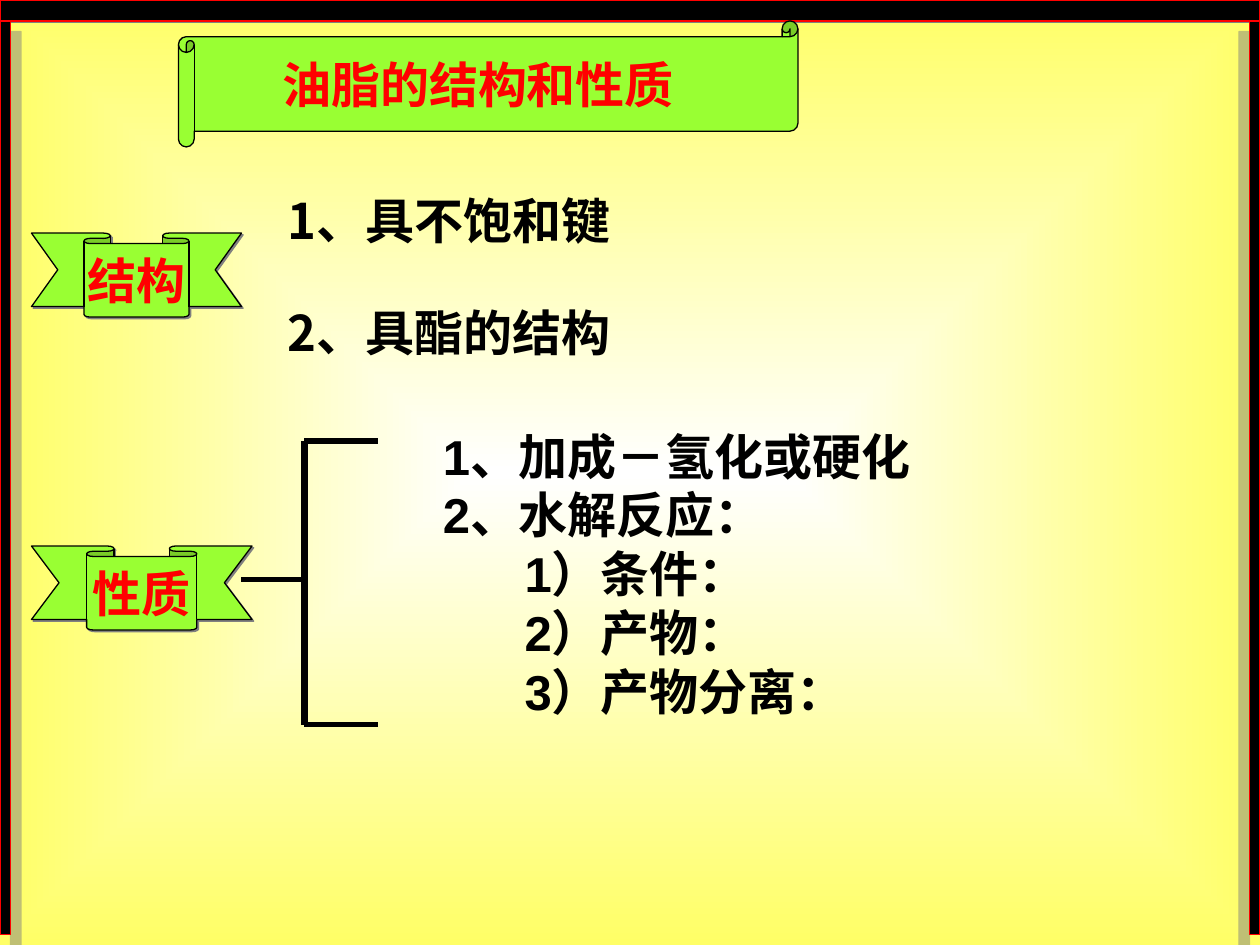
from lxml import etree
from pptx import Presentation
from pptx.dml.color import RGBColor
from pptx.enum.shapes import MSO_CONNECTOR, MSO_SHAPE
from pptx.enum.text import MSO_ANCHOR, PP_ALIGN
from pptx.oxml.ns import qn
from pptx.util import Inches, Pt

RECTANGLE = MSO_SHAPE.RECTANGLE
SCROLL = MSO_SHAPE.HORIZONTAL_SCROLL
RIBBON = MSO_SHAPE.DOWN_RIBBON
STRAIGHT = MSO_CONNECTOR.STRAIGHT
LEFT, CENTER = PP_ALIGN.LEFT, PP_ALIGN.CENTER
TOP, MIDDLE = MSO_ANCHOR.TOP, MSO_ANCHOR.MIDDLE
COLORS = {"black": "000000", "red": "FF0000", "green": "99FF33",
          "yellow": "FFFF66", "white": "FFFFFF", "gray": "808080"}
LATIN, HAN = "Arial", "Noto Sans CJK SC"
COLUMNS, ROWS = 120, 90
CELL = Inches(10) / COLUMNS


def color(name):
    """Return a named colour of the palette."""
    return RGBColor.from_string(COLORS[name])


def grid(*cells):
    """Turn counts of grid cells into lengths."""
    return [round(cell * CELL) for cell in cells]


def add_shadow(shape, distance, angle, opacity):
    """Give a shape a sharp gray shadow."""
    effects = shape._element.spPr.find(qn("a:effectLst"))
    shadow = etree.SubElement(effects, qn("a:outerShdw"), dist=str(Pt(distance)),
                              dir=str(angle * 60000), algn="ctr", rotWithShape="0")
    tint = etree.SubElement(shadow, qn("a:srgbClr"), val=COLORS["gray"])
    etree.SubElement(tint, qn("a:alpha"), val=str(opacity * 1000))


def add_figure(page, kind, box, fill, line, adjustment=None):
    """Add a flat preset shape with a thin outline."""
    shape = page.shapes.add_shape(kind, *grid(*box))
    shape.shadow.inherit = False
    shape.fill.solid()
    shape.fill.fore_color.rgb = color(fill)
    shape.line.color.rgb = color(line)
    shape.line.width = Pt(0.75)
    if adjustment is not None:
        shape.adjustments[0] = adjustment
    return shape


def write(shape, text, ink="black", font=LATIN, align=LEFT, anchor=TOP,
          wrap=False, left=0.1, indents=()):
    """Write bold lines of text, indenting those listed by number."""
    frame = shape.text_frame
    frame.word_wrap = wrap
    frame.vertical_anchor = anchor
    frame.margin_left = Inches(left)
    for number, line in enumerate(text.split("\n")):
        para = frame.add_paragraph() if number else frame.paragraphs[0]
        para.alignment = align
        para.line_spacing = Pt(33.6)
        if number in indents:
            para._p.get_or_add_pPr().set("marL", str(Inches(0.65)))
        span = para.add_run()
        span.text = line
        span.font.name = font
        span.font.size = Pt(28)
        span.font.bold = True
        span.font.color.rgb = color(ink)
        etree.SubElement(span._r.get_or_add_rPr(), qn("a:ea"), typeface=HAN)


def paint_background(page):
    """Fill the page with a glow from white centre to yellow edges."""
    fill = page.background.fill
    fill.gradient()
    for stop, name in zip(fill.gradient_stops, ("white", "yellow")):
        stop.color.rgb = color(name)
    linear = page._element.find(".//" + qn("a:lin"))
    glow = etree.Element(qn("a:path"), path="rect")
    etree.SubElement(glow, qn("a:fillToRect"), l="50000", t="50000", r="50000", b="50000")
    linear.getparent().replace(linear, glow)


def add_border(page, box):
    """Place the top bar and the two side bars along a box."""
    left, top, width, height = box
    bars = [((left, top, width, 2), 1.4, 45, 100),
            ((left, top + 2, 1, height - 3), 8.5, 45, 50),
            ((left + width - 1, top + 2, 1, height - 3), 8.5, 135, 50)]
    for bar, distance, angle, opacity in bars:
        shape = add_figure(page, RECTANGLE, bar, "black", "red")
        add_shadow(shape, distance, angle, opacity)


def add_title(page, box, text):
    """Place the title on a scroll."""
    scroll = add_figure(page, SCROLL, box, "green", "black", 0.125)
    write(scroll, text, ink="red", anchor=MIDDLE, wrap=True, left=0.7)


def add_heading(page, box, text):
    """Place a section heading on a ribbon."""
    ribbon = add_figure(page, RIBBON, box, "green", "black", 0.125)
    ribbon.adjustments[1] = 0.5
    add_shadow(ribbon, 1.4, 45, 100)
    write(ribbon, text, ink="red", align=CENTER, anchor=MIDDLE)


def add_bracket(page, box, stem):
    """Draw a square bracket in a box, with a stem of given length and row."""
    left, top, width, height = box
    length, row = stem
    right, bottom = left + width, top + height
    bracket = page.shapes.add_group_shape()
    for ends, weight in [((left, top, left, bottom), 4.5),
                         ((left, top, right, top), 3),
                         ((left, bottom, right, bottom), 3),
                         ((left - length, row, left, row), 3)]:
        line = bracket.shapes.add_connector(STRAIGHT, *grid(*ends))
        line.line.color.rgb = color("black")
        line.line.width = Pt(weight)
        etree.SubElement(line._element.spPr, qn("a:effectLst"))


def add_text(page, box, text, **style):
    """Place plain text in a box."""
    write(page.shapes.add_textbox(*grid(*box)), text, **style)


def main():
    """Build the slide and save the deck."""
    deck = Presentation()
    deck.slide_width, deck.slide_height = grid(COLUMNS, ROWS)
    page = deck.slides.add_slide(deck.slide_layouts[6])
    paint_background(page)
    add_border(page, (0, 0, COLUMNS, ROWS))
    add_title(page, (17, 2, 59, 12), "油脂的结构和性质")
    add_heading(page, (3, 22.2, 20, 8), "结构")
    add_heading(page, (3, 52, 21, 8), "性质")
    add_bracket(page, (29, 42, 7, 27), (6, 55.2))
    add_text(page, (41, 40, 60, 29.3),
             "1、加成－氢化或硬化\n2、水解反应：\n1）条件：\n2）产物：\n3）产物分离：",
             wrap=True, indents=(2, 3, 4))
    for row, text in [(17.6, "1、具不饱和键"), (28.2, "2、具酯的结构")]:
        add_text(page, (26.2, row, 34.2, 6.8), text, font=HAN)
    deck.save("out.pptx")


if __name__ == "__main__":
    main()
